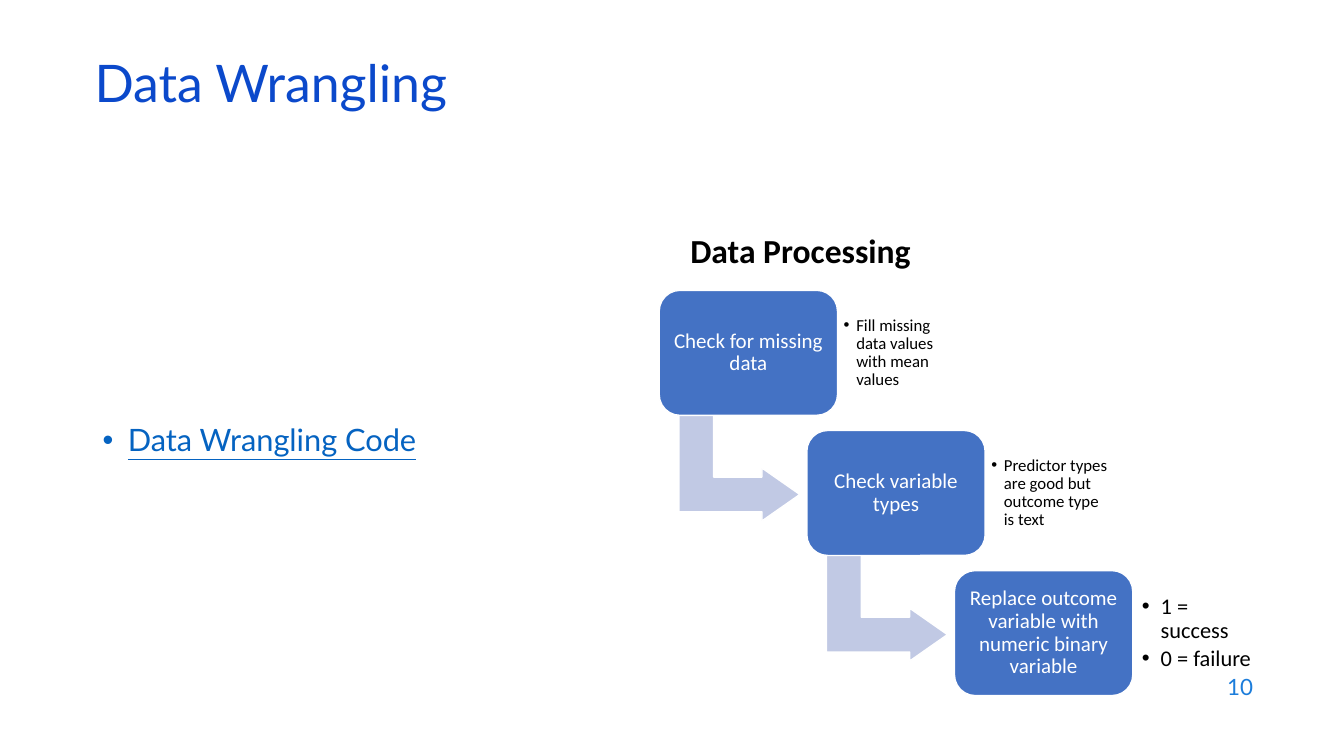
from lxml import etree
from pptx import Presentation
from pptx.dml.color import RGBColor as Rgb
from pptx.enum.shapes import MSO_SHAPE as Kind
from pptx.enum.text import MSO_ANCHOR as Anchor, PP_ALIGN as Align
from pptx.oxml.ns import qn
from pptx.util import Pt

TITLE = "Data Wrangling"
CODE = "Data Wrangling Code"
HEAD = "Data Processing"
PAGE = "10"
# box text, note lines, note size, note inset, note indent
STEPS = [
    ("Check for missing data",
     ["Fill missing data values with mean values"], 12, 4.3, 9),
    ("Check variable types",
     ["Predictor types are good but outcome type is text"], 12, 4.3, 9),
    ("Replace outcome variable with numeric binary variable",
     ["1 = success", "0 = failure"], 16, 6.4, 13.5),
]
COLORS = {
    "title": "0B49CB", "link": "0563C1", "page": "1C7DDB", "text": "000000",
    "box": "4472C4", "arrow": "C1C9E4", "white": "FFFFFF",
}
LEFT, TOP = 470.9, 207.4
WIDE, HIGH = 127.4, 89.3
STEP_X, STEP_Y = 105.45, 100.1


def color(name):
    return Rgb.from_string(COLORS[name])


def add_bullet(para, indent):
    props = para._p.get_or_add_pPr()
    props.set("marL", str(Pt(indent)))
    props.set("indent", str(-Pt(indent)))
    etree.SubElement(props, qn("a:buFont")).set("typeface", "Arial")
    etree.SubElement(props, qn("a:buChar")).set("char", "•")


def write(shape, lines, size, tint, face="Calibri", align=Align.LEFT,
          anchor=Anchor.MIDDLE, inset=None, indent=0, space=0.9, after=0):
    """Fill a shape with formatted paragraphs; an indent makes them bullets."""
    frame = shape.text_frame
    frame.text = "\n".join(lines)
    frame.word_wrap = True
    frame.vertical_anchor = anchor
    if inset is not None:
        frame.margin_left = frame.margin_right = Pt(inset)
        frame.margin_top = frame.margin_bottom = Pt(inset)
    for para in frame.paragraphs:
        if indent:
            add_bullet(para, indent)
        para.alignment = align
        para.line_spacing = space
        para.space_after = Pt(after)
        for run in para.runs:
            run.font.size = Pt(size)
            run.font.name = face
            run.font.color.rgb = color(tint)
    return frame.paragraphs[0].runs[0].font


def add_text(x, y, wide, high):
    return slide.shapes.add_textbox(Pt(x), Pt(y), Pt(wide), Pt(high))


def add_solid(kind, x, y, wide, high, tint, adjust):
    shape = slide.shapes.add_shape(kind, Pt(x), Pt(y), Pt(wide), Pt(high))
    shape.shadow.inherit = False
    shape.fill.solid()
    shape.fill.fore_color.rgb = color(tint)
    shape.line.color.rgb = color("white")
    shape.line.width = Pt(1)
    for i, value in enumerate(adjust):
        shape.adjustments[i] = value
    return shape


deck = Presentation()
deck.slide_width, deck.slide_height = Pt(960), Pt(540)
slide = deck.slides.add_slide(deck.slide_layouts[6])

write(add_text(60.5, 42.5, 828, 43.2), [TITLE], 37, "title", "Lato", space=0.7)
link = write(add_text(66.2, 300, 406, 32), [CODE], 22, "link", "Lato",
             anchor=Anchor.TOP, indent=18)
link.underline = True
head = write(add_text(486, 132.5, 408.2, 64.8), [HEAD], 24, "text",
             anchor=Anchor.BOTTOM)
head.bold = True
write(add_text(686.2, 474.5, 216, 31.7), [PAGE], 16, "page", "Lato",
      align=Align.RIGHT, space=1.0)

for i, (label, notes, size, inset, indent) in enumerate(STEPS):
    x, y = LEFT + i * STEP_X, TOP + i * STEP_Y
    if i < len(STEPS) - 1:
        arrow = add_solid(Kind.BENT_UP_ARROW, x + 19.4, y + 83.7, 75.6, 86.4,
                          "arrow", (0.328, 0.25, 0.358))
        arrow.rotation = 90
    box = add_solid(Kind.ROUNDED_RECTANGLE, x, y, WIDE, HIGH, "box", (0.167,))
    write(box, [label], 15, "white", align=Align.CENTER, inset=4.3)
    write(add_text(x + WIDE, y + 8.6, 92.9, 72), notes, size, "text",
          inset=inset, indent=indent, after=size * 0.15)

deck.save("out.pptx")
